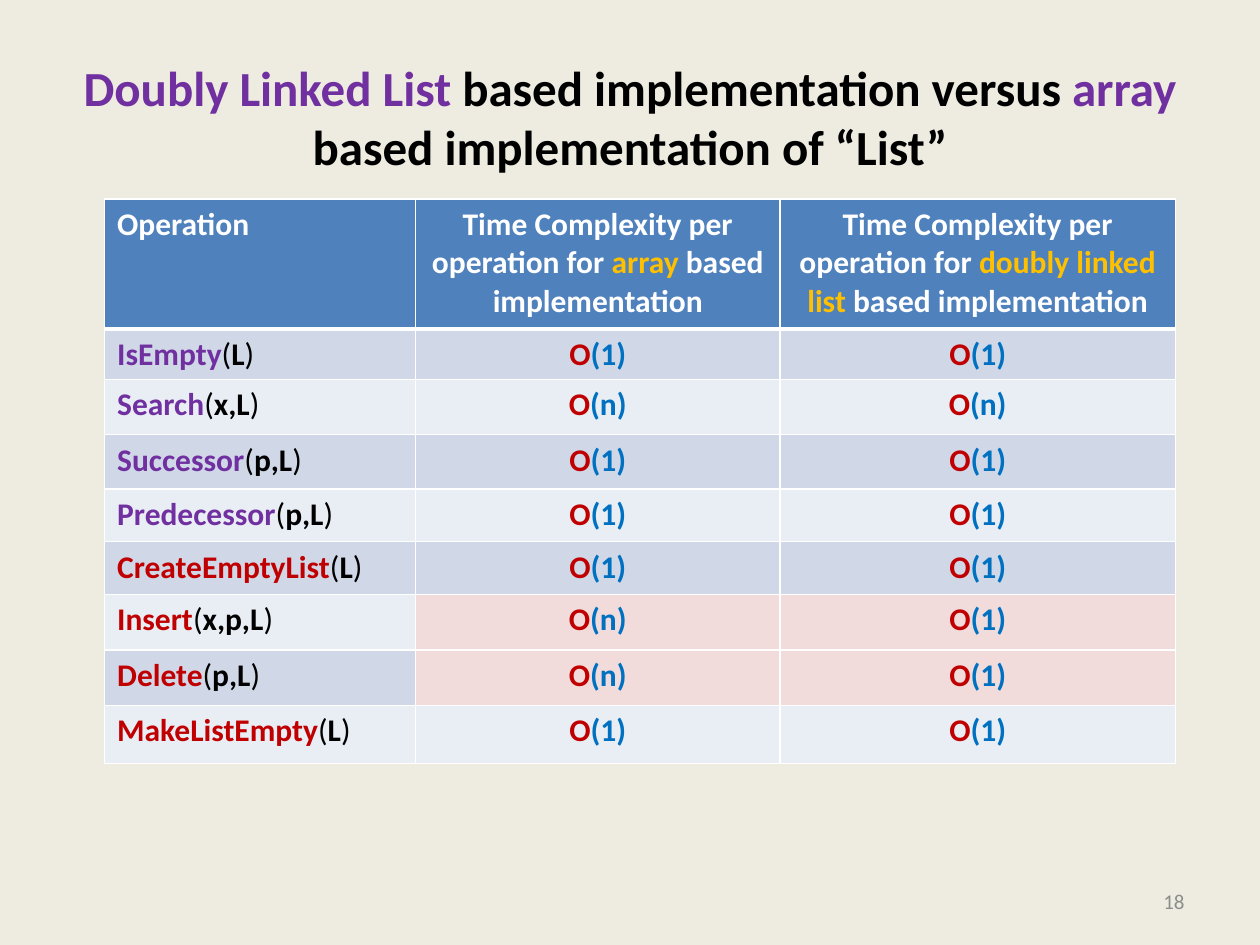
from lxml import etree
from pptx import Presentation, util as u
from pptx.dml.color import RGBColor
from pptx.enum import text
from pptx.oxml.ns import qn

FONT = "Calibri"
BLACK, WHITE, GREY = "000000", "FFFFFF", "8C8C8C"
PURPLE, RED, BLUE, GOLD = "7030A0", "C00000", "0070C0", "FFC000"
HEAD, PINK = "4F81BD", "F2DCDB"
BANDS = ["D0D8E8", "E9EDF4"]
LEFT, MID, RIGHT = (text.PP_ALIGN.LEFT, text.PP_ALIGN.CENTER,
                    text.PP_ALIGN.RIGHT)

COLS = [2.47, 2.89, 3.14]
ROWS = [1.03, 0.39, 0.44, 0.43, 0.42, 0.42, 0.44, 0.44, 0.46]
# name, arguments, name colour, array cost, linked list cost
COSTS = [
    ("IsEmpty", "L", PURPLE, "1", "1"),
    ("Search", "x,L", PURPLE, "n", "n"),
    ("Successor", "p,L", PURPLE, "1", "1"),
    ("Predecessor", "p,L", PURPLE, "1", "1"),
    ("CreateEmptyList", "L", RED, "1", "1"),
    ("Insert", "x,p,L", RED, "n", "1"),
    ("Delete", "p,L", RED, "n", "1"),
    ("MakeListEmpty", "L", RED, "1", "1"),
]


def paint(target, color):
    target.rgb = RGBColor.from_string(color)


def write(frame, runs, size=18, align=LEFT):
    """Fill the first paragraph with (words, colour, bold) runs."""
    para = frame.paragraphs[0]
    para.alignment = align
    for words, color, bold in runs:
        run = para.add_run()
        run.text = words
        font = run.font
        font.name, font.size, font.bold = FONT, u.Pt(size), bold
        paint(font.color, color)


def edge(cell, base):
    """Draw white cell borders, with the given width in points below."""
    props = cell._tc.get_or_add_tcPr()
    for side, width in (("L", 1), ("R", 1), ("T", 1), ("B", base)):
        line = etree.SubElement(props, qn("a:ln" + side), w=str(u.Pt(width)))
        fill = etree.SubElement(line, qn("a:solidFill"))
        etree.SubElement(fill, qn("a:srgbClr"), val=WHITE)


class Page:
    def __init__(self, deck, back):
        self.slide = deck.slides.add_slide(deck.slide_layouts[6])
        fill = self.slide.background.fill
        fill.solid()
        paint(fill.fore_color, back)

    def label(self, box, runs, **style):
        shape = self.slide.shapes.add_textbox(*map(u.Inches, box))
        frame = shape.text_frame
        frame.word_wrap = True
        frame.vertical_anchor = text.MSO_ANCHOR.MIDDLE
        write(frame, runs, **style)

    def table(self, left, top, cols, rows, cells):
        """Build a table from rows of (runs, fill) cells."""
        shape = self.slide.shapes.add_table(
            len(rows), len(cols), u.Inches(left), u.Inches(top),
            u.Inches(sum(cols)), u.Inches(sum(rows)))
        grid = shape.table
        for col, width in zip(grid.columns, cols):
            col.width = u.Inches(width)
        for i, (row, height) in enumerate(zip(grid.rows, rows)):
            row.height = u.Inches(height)
            for j, (runs, color) in enumerate(cells[i]):
                cell = grid.cell(i, j)
                edge(cell, 1 if i else 3)
                cell.fill.solid()
                paint(cell.fill.fore_color, color)
                write(cell.text_frame, runs, align=MID if j else LEFT)


def header(kind):
    return [("Time Complexity per operation for ", WHITE, True),
            (kind, GOLD, True),
            (" based implementation", WHITE, True)]


def order(cost):
    return [("O", RED, True), (f"({cost})", BLUE, True)]


def main():
    deck = Presentation()
    deck.slide_width, deck.slide_height = u.Inches(10), u.Inches(7.5)
    page = Page(deck, "EEECE1")
    page.label((0.5, 0.3, 9, 1.25), [
        ("Doubly Linked List ", PURPLE, True),
        ("based implementation versus ", BLACK, True),
        ("array", PURPLE, True),
        (" based implementation of “List”", BLACK, True),
    ], size=28, align=MID)

    heads = [[("Operation", WHITE, True)], header("array"),
             header("doubly linked list")]
    cells = [[(runs, HEAD) for runs in heads]]
    for i, (name, args, color, array, linked) in enumerate(COSTS):
        band = BANDS[i % 2]
        mark = band if array == linked else PINK
        call = [(name, color, True), ("(", BLACK, False),
                (args, BLACK, True), (")", BLACK, False)]
        cells.append([(call, band), (order(array), mark),
                      (order(linked), mark)])
    page.table(0.83, 1.58, COLS, ROWS, cells)

    page.label((7.17, 6.95, 2.33, 0.4), [("18", GREY, False)],
               size=12, align=RIGHT)
    deck.save("out.pptx")


if __name__ == "__main__":
    main()
